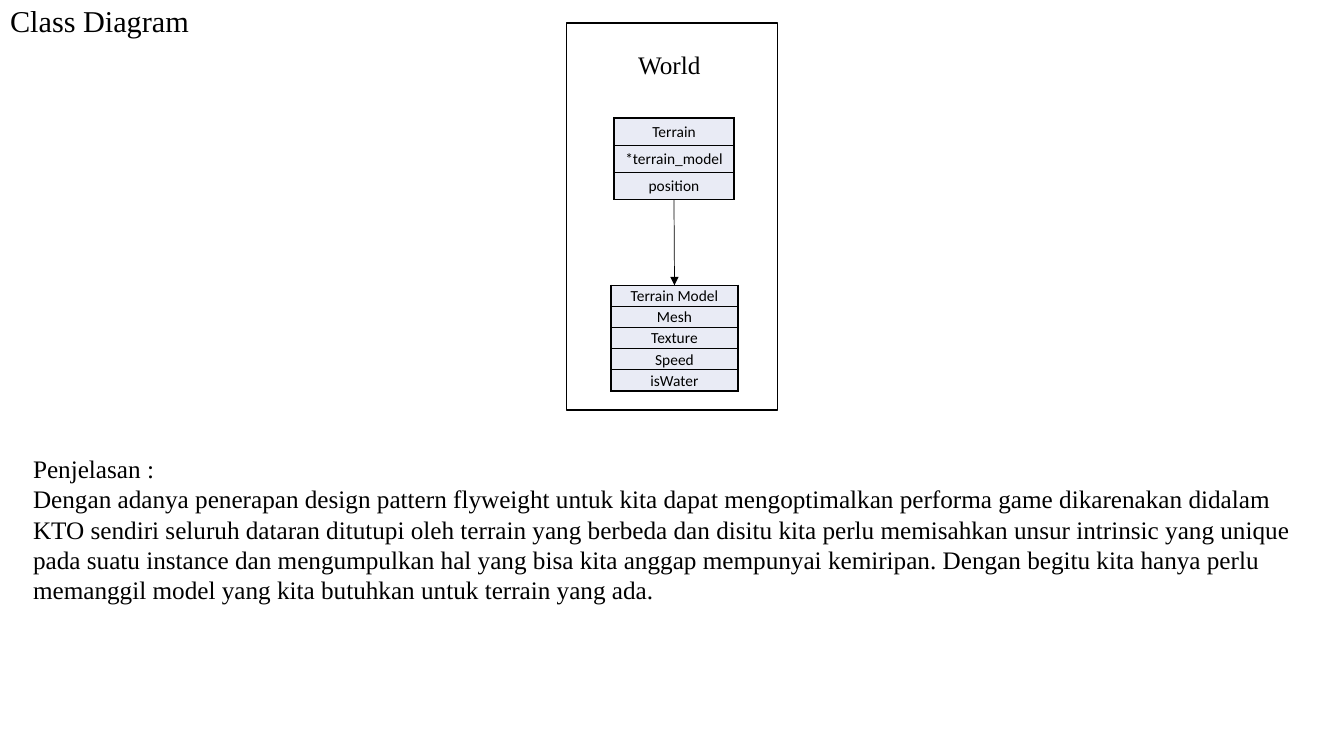
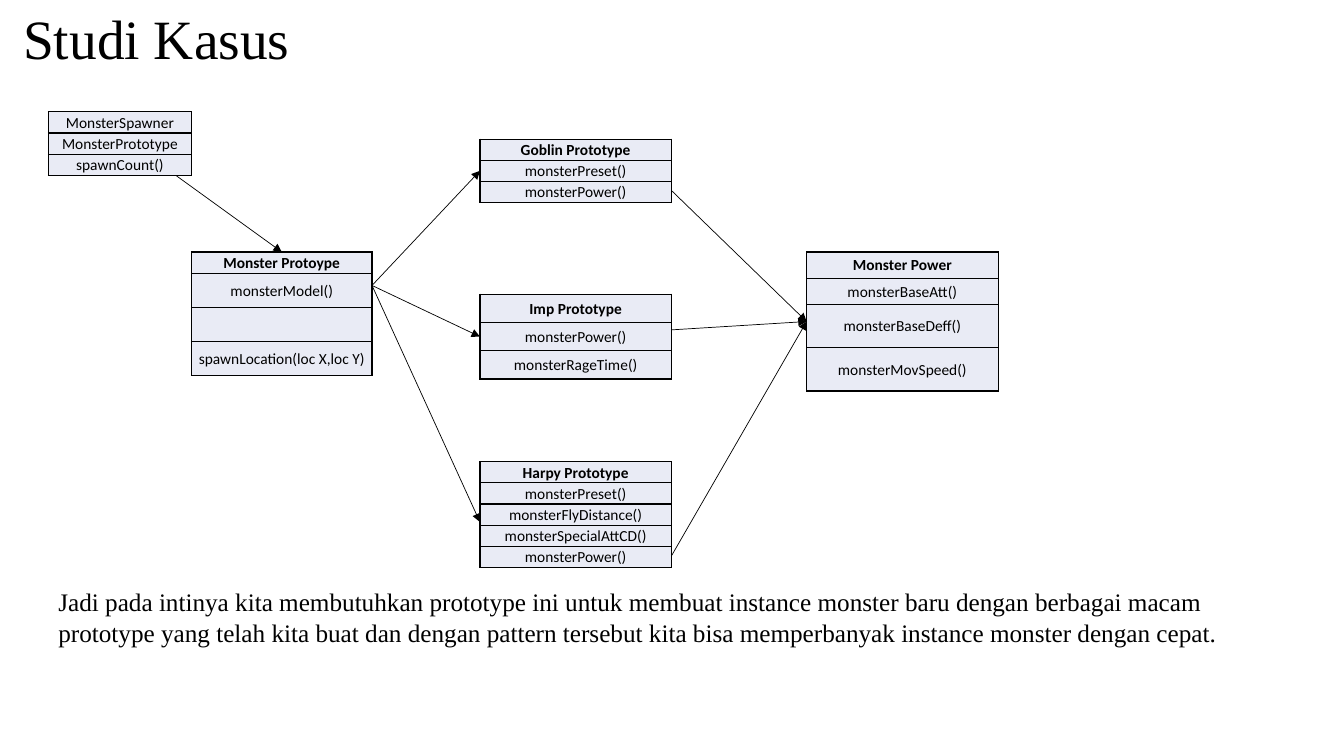
from lxml import etree
from pptx import Presentation
from pptx.dml.color import RGBColor
from pptx.enum.shapes import MSO_CONNECTOR, MSO_SHAPE
from pptx.enum.text import MSO_ANCHOR, MSO_AUTO_SIZE, PP_ALIGN
from pptx.oxml.ns import qn
from pptx.util import Inches, Pt

STRAIGHT = MSO_CONNECTOR.STRAIGHT
RECTANGLE = MSO_SHAPE.RECTANGLE
MIDDLE = MSO_ANCHOR.MIDDLE
NO_AUTOFIT = MSO_AUTO_SIZE.NONE
CENTER, LEFT = PP_ALIGN.CENTER, PP_ALIGN.LEFT

INK, CELL_FILL = "000000", "E9EBF5"
SERIF, SANS = "Times New Roman", "Calibri"
BODY_FONT = {"name": SERIF, "size": Pt(18)}
CLASS_FONT = {"name": SANS, "size": Pt(11)}
CELL_FORMAT = {
    "margin_left": Inches(0.01),
    "margin_right": Inches(0.01),
    "margin_top": Inches(0.01),
    "margin_bottom": 0,
    "vertical_anchor": MIDDLE,
}
TOP, LEFT_SIDE, BOTTOM, RIGHT_SIDE = (0.5, 0), (0, 0.5), (0.5, 1), (1, 0.5)
SITES = {TOP: 0, LEFT_SIDE: 1, BOTTOM: 2, RIGHT_SIDE: 3}


def color(value):
    """Turn a hex string into a colour."""
    return RGBColor.from_string(value)


def apply(target, values):
    """Set each format value on the target."""
    for key, value in values.items():
        setattr(target, key, value)


def write(paragraph, text, font):
    """Add one formatted run to a paragraph."""
    run = paragraph.add_run()
    run.text = text
    apply(run.font, font)
    run.font.color.rgb = color(INK)


def titled_slide(prs, title, box, size):
    """Add a slide with its title in the given box."""
    slide = prs.slides.add_slide(prs.slide_layouts[5])
    heading = slide.shapes.title
    apply(heading, dict(zip(("left", "top", "width", "height"), map(Inches, box))))
    apply(heading.text_frame, {"vertical_anchor": MIDDLE, "auto_size": NO_AUTOFIT, "word_wrap": True})
    paragraph = heading.text_frame.paragraphs[0]
    apply(paragraph, {"alignment": LEFT, "line_spacing": 0.9})
    write(paragraph, title, {"name": SERIF, "size": Pt(size)})
    return slide


def body_text(slide, box, *paragraphs):
    """Write serif paragraphs in a text box."""
    frame = slide.shapes.add_textbox(*map(Inches, box)).text_frame
    frame.word_wrap = True
    for index, text in enumerate(paragraphs):
        paragraph = frame.add_paragraph() if index else frame.paragraphs[0]
        write(paragraph, text, BODY_FONT)


def outline_cell(cell):
    """Draw a thin border on all four sides of a cell."""
    properties = cell._tc.get_or_add_tcPr()
    for index, side in enumerate(("lnL", "lnR", "lnT", "lnB")):
        border = etree.Element(qn(f"a:{side}"), w=str(Pt(1)))
        fill = etree.SubElement(border, qn("a:solidFill"))
        etree.SubElement(fill, qn("a:srgbClr"), val=INK)
        properties.insert(index, border)


def class_table(slide, left, top, width, members, heights, bold_name=True):
    """Draw a class as a table with one row per member."""
    frame = slide.shapes.add_table(
        len(members), 1, Inches(left), Inches(top), Inches(width), Inches(sum(heights)))
    table = frame.table
    apply(table, {"first_row": False, "horz_banding": False})
    for index, (member, height) in enumerate(zip(members, heights)):
        table.rows[index].height = Inches(height)
        cell = table.cell(index, 0)
        apply(cell, CELL_FORMAT)
        cell.fill.solid()
        cell.fill.fore_color.rgb = color(CELL_FILL)
        outline_cell(cell)
        if member:
            paragraph = cell.text_frame.paragraphs[0]
            paragraph.alignment = CENTER
            write(paragraph, member, {**CLASS_FONT, "bold": bold_name and index == 0})
    return frame


def point_on(frame, spot):
    """Find a point from its share of a frame's width and height."""
    across, down = spot
    return frame.left + int(frame.width * across), frame.top + int(frame.height * down)


def arrow(slide, source, start, target, end):
    """Draw an arrow between two classes, joined at side middles."""
    link = slide.shapes.add_connector(STRAIGHT, *point_on(source, start), *point_on(target, end))
    if start in SITES:
        link.begin_connect(source, SITES[start])
    if end in SITES:
        link.end_connect(target, SITES[end])
    link.line.width = Pt(0.5)
    link.line.color.rgb = color(INK)
    etree.SubElement(link.line._get_or_add_ln(), qn("a:tailEnd"), type="triangle")
    etree.SubElement(link._element.spPr, qn("a:effectLst"))


def world_diagram(slide, left, top, width, height):
    """Draw the world frame with its two terrain classes."""
    world = slide.shapes.add_shape(RECTANGLE, *map(Inches, (left, top, width, height)))
    world.shadow.inherit = False
    world.fill.background()
    world.line.width = Pt(1)
    world.line.color.rgb = color(INK)
    body_text(slide, (left + 0.61, top + 0.21, 1.05, 0.4), "World")
    terrain = class_table(slide, left + 0.47, top + 0.94, 1.19,
                          ("Terrain", "*terrain_model", "position"), [0.27] * 3, False)
    model = class_table(slide, left + 0.44, top + 2.6, 1.26,
                        ("Terrain Model", "Mesh", "Texture", "Speed", "isWater"), [0.21] * 5, False)
    arrow(slide, terrain, BOTTOM, model, TOP)


def monster_diagram(slide, left, top):
    """Draw the monster classes and the arrows between them."""
    spawner = class_table(slide, left, top, 1.42,
                          ("MonsterSpawner", "MonsterPrototype", "spawnCount()"), [0.21] * 3, False)
    prototype = class_table(slide, left + 1.42, top + 1.39, 1.79,
                            ("Monster Protoype", "monsterModel()", "", "spawnLocation(loc X,loc Y)"),
                            [0.21] + [0.34] * 3)
    power = class_table(slide, left + 7.52, top + 1.39, 1.9,
                        ("Monster Power", "monsterBaseAtt()", "monsterBaseDeff()", "monsterMovSpeed()"),
                        [0.26, 0.26, 0.43, 0.43])
    arrow(slide, spawner, (0.89, 1), prototype, TOP)
    kinds = (
        (0.27, 0.21, LEFT_SIDE, 0.81, ("Goblin Prototype", "monsterPreset()", "monsterPower()")),
        (1.81, 0.28, LEFT_SIDE, 0.42, ("Imp Prototype", "monsterPower()", "monsterRageTime()")),
        (3.47, 0.21, (0, 0.57), 0.89, ("Harpy Prototype", "monsterPreset()", "monsterFlyDistance()",
                                       "monsterSpecialAttCD()", "monsterPower()")),
    )
    for offset, row_height, entry, exit_share, members in kinds:
        kind = class_table(slide, left + 4.28, top + offset, 1.9, members, [row_height] * len(members))
        arrow(slide, prototype, (1, 0.27), kind, entry)
        arrow(slide, kind, (1, exit_share), power, LEFT_SIDE)


def class_diagram_slide(prs):
    """Build the flyweight class diagram slide."""
    slide = titled_slide(prs, "Class Diagram", (0, 0, 2.27, 0.45), 21.6)
    world_diagram(slide, 5.62, 0.23, 2.09, 3.84)
    body_text(
        slide, (0.23, 4.45, 12.86, 1.62), "Penjelasan :",
        "Dengan adanya penerapan design pattern flyweight untuk kita dapat mengoptimalkan performa game "
        "dikarenakan didalam KTO sendiri seluruh dataran ditutupi oleh terrain yang berbeda dan disitu kita "
        "perlu memisahkan unsur intrinsic yang unique pada suatu instance dan mengumpulkan hal yang bisa kita "
        "anggap mempunyai kemiripan. Dengan begitu kita hanya perlu memanggil model yang kita butuhkan untuk "
        "terrain yang ada.")


def case_study_slide(prs):
    """Build the prototype case study slide."""
    slide = titled_slide(prs, "Studi Kasus", (0.13, 0.14, 3.24, 0.55), 39.6)
    monster_diagram(slide, 0.48, 1.11)
    body_text(
        slide, (0.48, 5.77, 12.32, 0.71),
        "Jadi pada intinya kita membutuhkan prototype ini untuk membuat instance monster baru dengan berbagai "
        "macam prototype yang telah kita buat dan dengan pattern tersebut kita bisa memperbanyak instance "
        "monster dengan cepat.")


def main():
    """Build and save the presentation."""
    prs = Presentation()
    prs.slide_width, prs.slide_height = Inches(13.33), Inches(7.5)
    class_diagram_slide(prs)
    case_study_slide(prs)
    prs.save("out.pptx")


if __name__ == "__main__":
    main()
